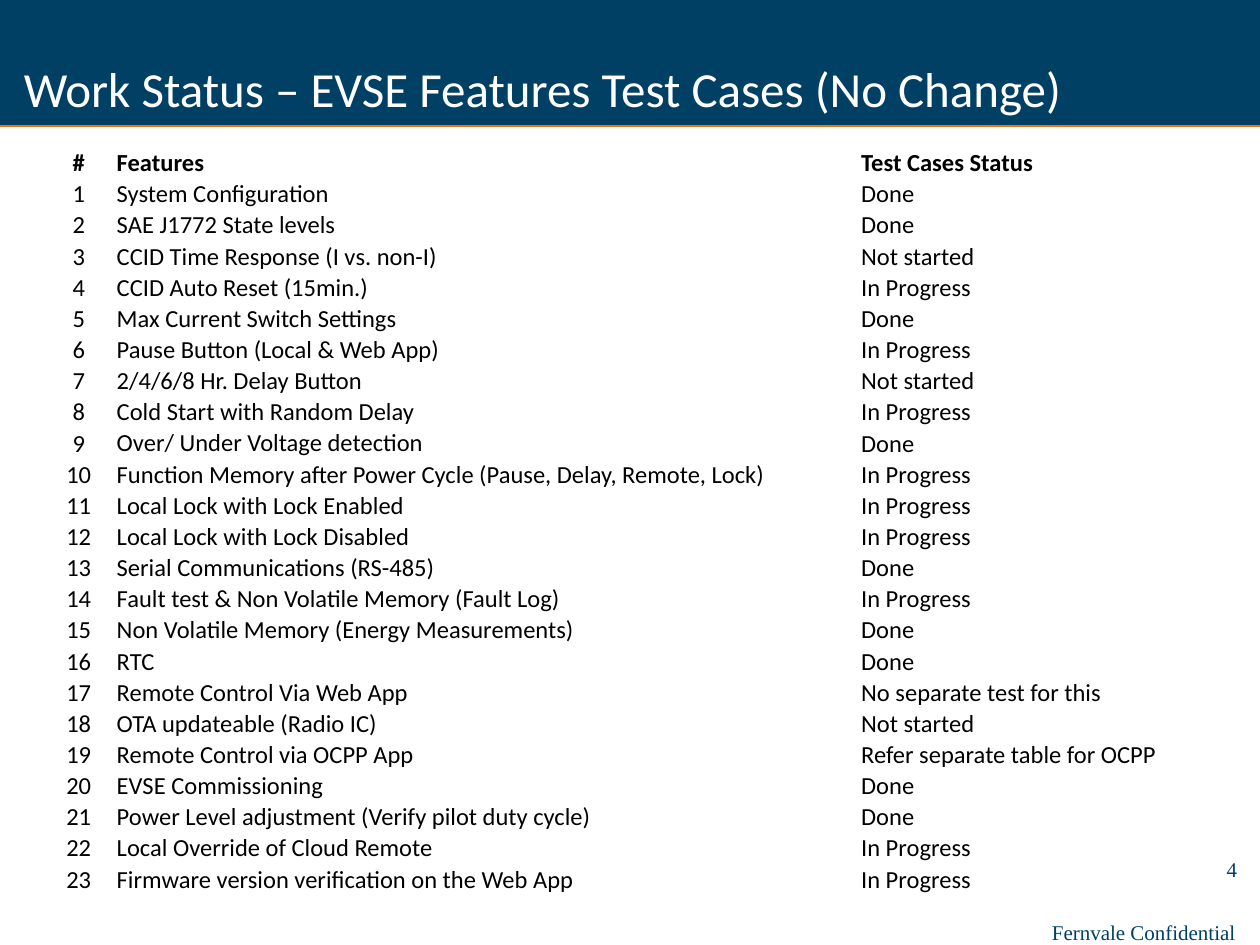
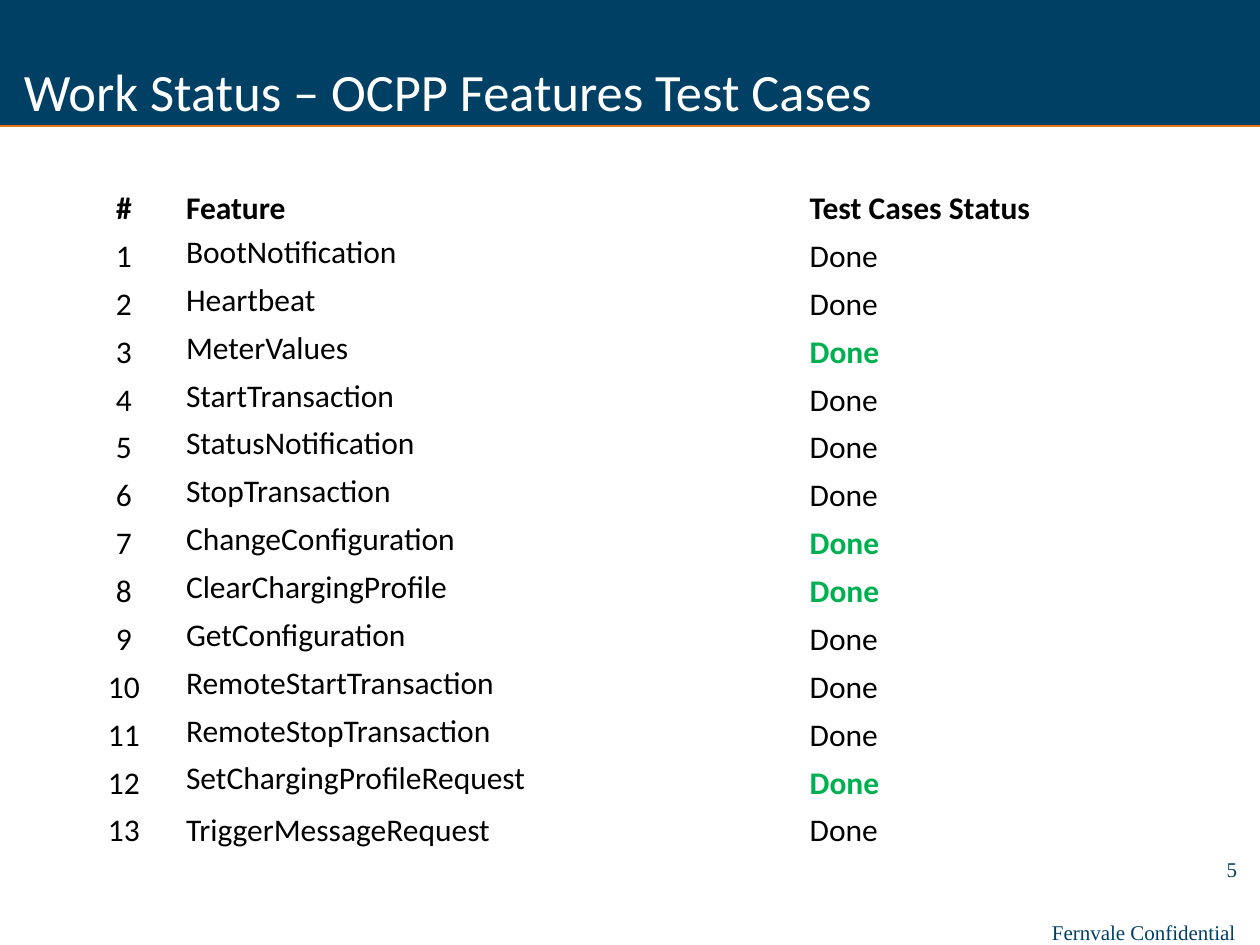
from lxml import etree
from pptx import Presentation
from pptx.dml.color import RGBColor
from pptx.enum.shapes import MSO_CONNECTOR, MSO_SHAPE
from pptx.enum.text import MSO_ANCHOR, PP_ALIGN
from pptx.oxml.ns import qn
from pptx.util import Inches, Pt

LEFT, CENTER, RIGHT = PP_ALIGN.LEFT, PP_ALIGN.CENTER, PP_ALIGN.RIGHT
TOP, MIDDLE, BOTTOM = MSO_ANCHOR.TOP, MSO_ANCHOR.MIDDLE, MSO_ANCHOR.BOTTOM
RECT, STRAIGHT = MSO_SHAPE.RECTANGLE, MSO_CONNECTOR.STRAIGHT

COLORS = {"navy": "004065", "orange": "E77817", "white": "FFFFFF",
          "black": "000000", "green": "00B050"}
BODY_FONT, FOOTER_FONT = "Calibri", "Times New Roman"

# The page is a grid of 120 columns by 90 rows
PAGE_W, PAGE_H = Inches(10), Inches(7.5)
COLS, ROWS = 120, 90
BAND = (0, 0, 120, 12)
TITLE = (0, 5, 108, 10)
FOOTER = (99, 87, 21, 3.6)
PAGE_NUMBER = (111.6, 81, 7.4, 3.6)


def units(box):
    """Turn a box in grid columns and rows into slide lengths."""
    x, y, w, h = box
    return (int(PAGE_W * x / COLS), int(PAGE_H * y / ROWS),
            int(PAGE_W * w / COLS), int(PAGE_H * h / ROWS))


def color(name):
    return RGBColor.from_string(COLORS[name])


def write(tf, text, size=12, font=BODY_FONT, ink="black", bold=False, align=LEFT):
    p = tf.paragraphs[0]
    p.alignment = align
    r = p.add_run()
    r.text = text
    r.font.size, r.font.name, r.font.bold = Pt(size), font, bold
    r.font.color.rgb = color(ink)


def text_box(s, box, text, indent=0.1, **style):
    tf = s.shapes.add_textbox(*units(box)).text_frame
    tf.word_wrap = True
    tf.vertical_anchor = TOP
    tf.margin_left = Inches(indent)
    write(tf, text, **style)


def frame(s, title, title_size, number):
    # Title band and its rule
    x, y, w, h = units(BAND)
    band = s.shapes.add_shape(RECT, x, y, w, h)
    band.shadow.inherit = False
    band.fill.solid()
    band.fill.fore_color.rgb = color("navy")
    band.line.fill.background()
    rule = s.shapes.add_connector(STRAIGHT, x, y + h, x + w, y + h)
    rule.line.color.rgb = color("orange")
    rule.line.width = Pt(0.75)
    etree.SubElement(rule._element.spPr, qn("a:effectLst"))

    # Footer, page number, title
    small = dict(size=12, font=FOOTER_FONT, ink="navy")
    text_box(s, FOOTER, "Fernvale Confidential", **small)
    text_box(s, PAGE_NUMBER, str(number), align=RIGHT, **small)
    text_box(s, TITLE, title, indent=0.19, size=title_size, ink="white")


def border(cell):
    tc_pr = cell._tc.get_or_add_tcPr()
    for side in ("lnL", "lnR", "lnT", "lnB"):
        ln = etree.SubElement(tc_pr, qn("a:" + side), w=str(Pt(1)))
        fill = etree.SubElement(ln, qn("a:solidFill"))
        etree.SubElement(fill, qn("a:srgbClr"), val=COLORS["white"])


def fill_cell(cell, text, anchor, **style):
    border(cell)
    cell.fill.solid()
    cell.fill.fore_color.rgb = color("white")
    cell.margin_left = cell.margin_right = cell.margin_top = Inches(0.01)
    cell.margin_bottom = 0
    cell.vertical_anchor = anchor
    write(cell.text_frame, text, **style)


def status_table(s, box, widths, heights, header, items, size,
                 new=(), low=()):
    """Numbered features; `new` rows are green, `low` rows sit on the base line.

    widths are grid columns; heights are grid rows of header and body.
    """
    x, y, w, h = units(box)
    gf = s.shapes.add_table(len(items) + 1, 3, x, y, w, h)
    table = gf.table
    table.first_row = table.horz_banding = False
    for column, width in zip(table.columns, widths):
        column.width = int(PAGE_W * width / COLS)
    for i, row in enumerate(table.rows):
        row.height = int(PAGE_H * heights[min(i, 1)] / ROWS)

    rows = [("#", *header)]
    rows += [(str(n), *item) for n, item in enumerate(items, 1)]
    for i, row in enumerate(rows):
        for j, text in enumerate(row):
            fresh = j == 2 and i in new
            centred = j == 1 and i > 0 and i not in low
            fill_cell(table.cell(i, j), text, MIDDLE if centred else BOTTOM,
                      size=size, bold=i == 0 or fresh,
                      ink="green" if fresh else "black",
                      align=CENTER if j == 0 else LEFT)


DONE, PROGRESS, WAITING = "Done", "In Progress", "Not started"

EVSE = [
    ("System Configuration", DONE),
    ("SAE J1772 State levels", DONE),
    ("CCID Time Response (I vs. non-I)", WAITING),
    ("CCID Auto Reset (15min.)", PROGRESS),
    ("Max Current Switch Settings", DONE),
    ("Pause Button (Local & Web App)", PROGRESS),
    ("2/4/6/8 Hr. Delay Button", WAITING),
    ("Cold Start with Random Delay", PROGRESS),
    ("Over/ Under Voltage detection", DONE),
    ("Function Memory after Power Cycle (Pause, Delay, Remote, Lock)", PROGRESS),
    ("Local Lock with Lock Enabled", PROGRESS),
    ("Local Lock with Lock Disabled", PROGRESS),
    ("Serial Communications (RS-485)", DONE),
    ("Fault test & Non Volatile Memory (Fault Log)", PROGRESS),
    ("Non Volatile Memory (Energy Measurements)", DONE),
    ("RTC", DONE),
    ("Remote Control Via Web App", "No separate test for this"),
    ("OTA updateable (Radio IC)", WAITING),
    ("Remote Control via OCPP App", "Refer separate table for OCPP"),
    ("EVSE Commissioning", DONE),
    ("Power Level adjustment (Verify pilot duty cycle)", DONE),
    ("Local Override of Cloud Remote", PROGRESS),
    ("Firmware version verification on the Web App", PROGRESS),
]

OCPP = [(message, DONE) for message in (
    "BootNotification", "Heartbeat", "MeterValues", "StartTransaction",
    "StatusNotification", "StopTransaction", "ChangeConfiguration",
    "ClearChargingProfile", "GetConfiguration", "RemoteStartTransaction",
    "RemoteStopTransaction", "SetChargingProfileRequest",
    "TriggerMessageRequest")]

prs = Presentation()
prs.slide_width, prs.slide_height = PAGE_W, PAGE_H
blank = prs.slide_layouts[6]

# EVSE features
s = prs.slides.add_slide(blank)
frame(s, "Work Status – EVSE Features Test Cases (No Change)", 28, 4)
status_table(s, (4, 14, 112, 71.28), (7, 70.9, 34.1), (2.97, 2.97),
             ("Features", "Test Cases Status"), EVSE, 14)

# OCPP features
s = prs.slides.add_slide(blank)
frame(s, "Work Status – OCPP Features Test Cases", 30, 5)
status_table(s, (6, 15, 109, 66), (11.6, 59.4, 38), (6.72, 4.56),
             ("Feature", "Test Cases Status"), OCPP, 18,
             new=(3, 7, 8, 12), low=(len(OCPP),))

prs.save("out.pptx")
